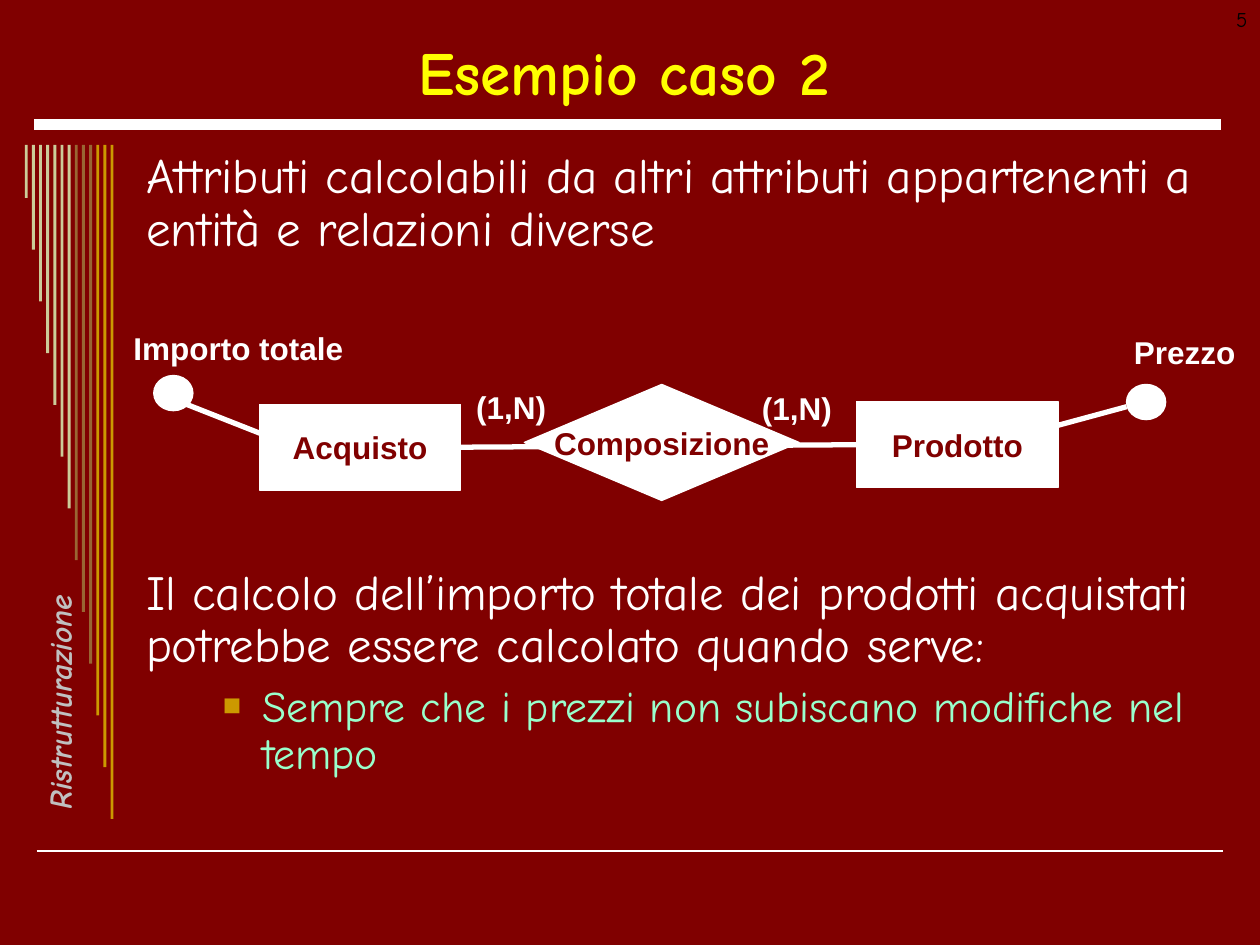
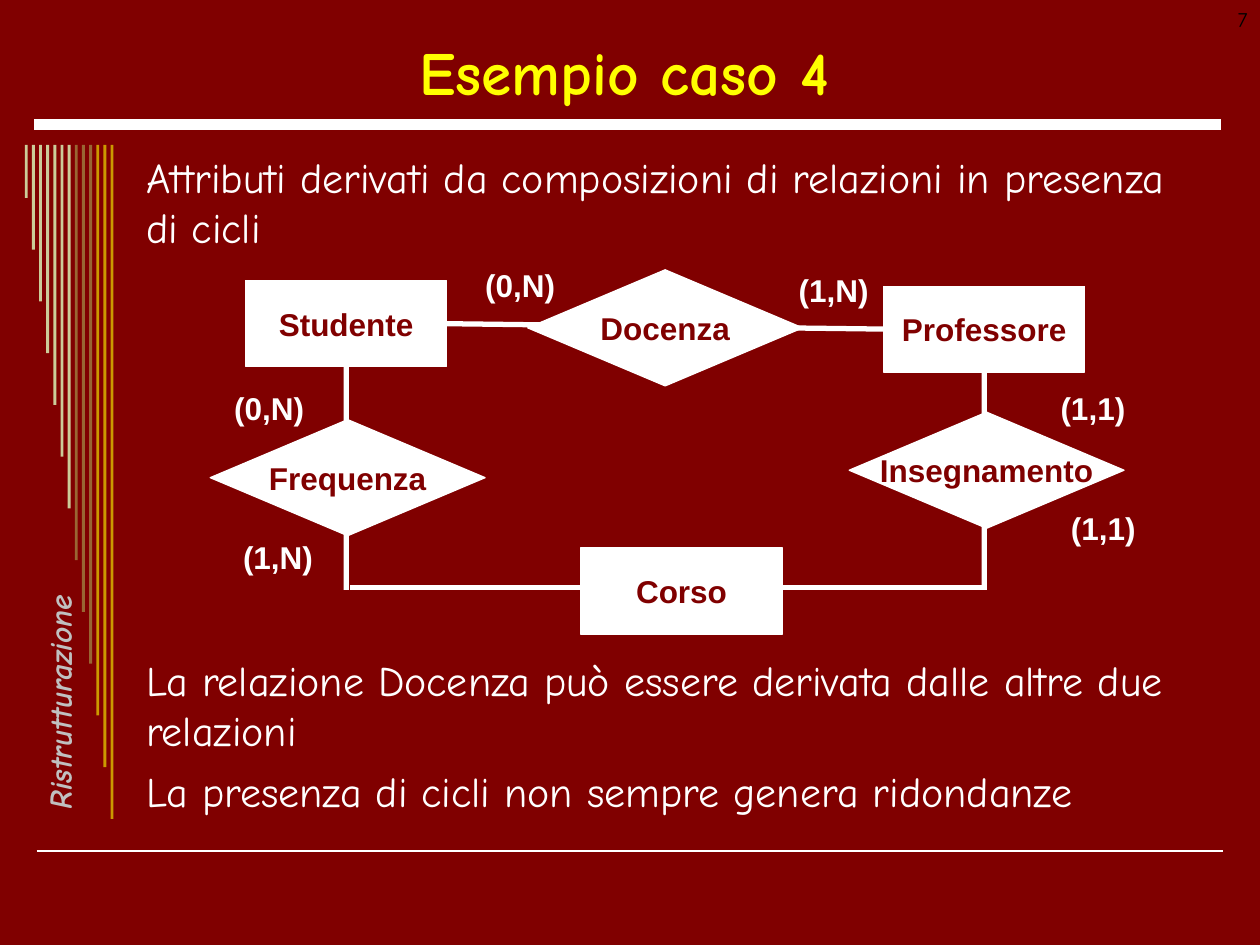
import pptx
import pptx.util
import pptx.dml.color
import pptx.enum.shapes
import pptx.enum.text
import pptx.oxml
import pptx.oxml.ns

Cm = pptx.util.Cm
Pt = pptx.util.Pt
KIND = pptx.enum.shapes.MSO_SHAPE
ALIGN = pptx.enum.text.PP_ALIGN
ANCHOR = pptx.enum.text.MSO_ANCHOR
FIT = pptx.enum.text.MSO_AUTO_SIZE

WINE, WHITE, YELLOW, MINT = "800000", "FFFFFF", "FFFF00", "99FFCC"
GOLD, BROWN, SAND, GREY, BLACK = "CC9900", "996633", "CCCC99", "C0C0C0", "000000"
HAND, SANS = "Comic Neue", "Arial"
STRIPES = [SAND] * 7 + [BROWN] * 3 + [GOLD] * 3


def hue(code):
    return pptx.dml.color.RGBColor.from_string(code)


def node(xml):
    """Parse a piece of DrawingML whose root tag carries no namespace yet."""
    space = " " + pptx.oxml.ns.nsdecls("a")
    cut = min(i for i in (xml.find(" "), xml.find(">"), xml.find("/>")) if i > 0)
    return pptx.oxml.parse_xml(xml[:cut] + space + xml[cut:])


class Deck:
    def __init__(self):
        self.show = pptx.Presentation()
        self.show.slide_width, self.show.slide_height = Cm(25.4), Cm(19.05)
        fill = self.show.slide_master.background.fill
        fill.solid()
        fill.fore_color.rgb = hue(WINE)
        self.slide = None

    def start(self, title, page):
        """Add a slide with its lines, stripes, side label, title and page number."""
        self.slide = self.show.slides.add_slide(self.show.slide_layouts[1])
        self.line((0.74, 17.15), (24.66, 17.15), 1)
        self.line((0.69, 2.51), (24.61, 2.51), 6)
        for i, code in enumerate(STRIPES):
            part = i / (len(STRIPES) - 1)
            self.shape(KIND.RECTANGLE, 0.5 + 1.73 * part, 2.92,
                       0.06, 1.07 + 12.52 * part, code, edge=False)
        self.side("Ristrutturazione")
        head = self.slide.shapes.title
        self.place(head, 0.89, 0.53, 23.39, 1.8)
        frame = head.text_frame
        frame.auto_size = FIT.NONE
        frame.vertical_anchor = ANCHOR.MIDDLE
        para = frame.paragraphs[0]
        para.alignment = ALIGN.CENTER
        self.run(para, title, 35, YELLOW, HAND, True)
        self.text(page, 19.48, 0, 5.92, 1.27, 12, BLACK, HAND, False, ALIGN.RIGHT)

    def place(self, item, x, y, w, h):
        item.left, item.top, item.width, item.height = Cm(x), Cm(y), Cm(w), Cm(h)

    def run(self, para, words, size, code, face, bold=False):
        run = para.add_run()
        run.text = words
        font = run.font
        font.size, font.name, font.bold = Pt(size), face, bold
        font.color.rgb = hue(code)
        return run

    def text(self, words, x, y, w, h, size, code, face, bold, align=ALIGN.LEFT):
        box = self.slide.shapes.add_textbox(Cm(x), Cm(y), Cm(w), Cm(h))
        frame = box.text_frame
        frame.word_wrap = True
        frame.auto_size = FIT.NONE
        para = frame.paragraphs[0]
        para.alignment = align
        return box, self.run(para, words, size, code, face, bold)

    def side(self, words):
        """Write the upright section name beside the stripes."""
        box, run = self.text(words, -1.9, 13.36, 5.79, 0.61, 18, GREY, HAND, True)
        box.rotation = 270
        box.text_frame.word_wrap = False
        run.font.italic = True
        edge = node('<a:ln w="9525"><a:solidFill><a:srgbClr val="333300"/>'
                    '</a:solidFill></a:ln>')
        run.font._element.insert(0, edge)

    def label(self, words, x, y, w=2.01):
        box, _ = self.text(words, x, y, w, 1.02, 18, WHITE, SANS, True)
        box.text_frame.auto_size = FIT.SHAPE_TO_FIT_TEXT

    def shape(self, kind, x, y, w, h, code=WHITE, edge=True):
        item = self.slide.shapes.add_shape(kind, Cm(x), Cm(y), Cm(w), Cm(h))
        item.shadow.inherit = False
        item.fill.solid()
        item.fill.fore_color.rgb = hue(code)
        if edge:
            item.line.color.rgb = hue(code)
            item.line.width = Pt(0.75)
        else:
            item.line.fill.background()
        return item

    def name(self, item, words):
        """Write the name inside an entity or a relation."""
        frame = item.text_frame
        frame.word_wrap = False
        frame.vertical_anchor = ANCHOR.MIDDLE
        para = frame.paragraphs[0]
        para.alignment = ALIGN.CENTER
        self.run(para, words, 18, WINE, SANS, True)
        return item

    def entity(self, words, x, y):
        return self.name(self.shape(KIND.RECTANGLE, x, y, 4.06, 1.73), words)

    def bond(self, words, x, y):
        """Draw a relation as a diamond."""
        return self.name(self.shape(KIND.DIAMOND, x, y, 5.54, 2.34), words)

    def dot(self, x, y):
        self.shape(KIND.OVAL, x, y, 0.79, 0.71)

    def line(self, start, end, width=3):
        """Draw a line; each end is an (x, y) point or a (shape, side) pair."""
        free = [isinstance(spot[0], (int, float)) for spot in (start, end)]
        a, b = [spot if ok else (0, 0) for spot, ok in zip((start, end), free)]
        link = self.slide.shapes.add_connector(
            pptx.enum.shapes.MSO_CONNECTOR.STRAIGHT,
            Cm(a[0]), Cm(a[1]), Cm(b[0]), Cm(b[1]))
        if not free[0]:
            link.begin_connect(*start)
        if not free[1]:
            link.end_connect(*end)
        link.line.color.rgb = hue(WHITE)
        link.line.width = Pt(width)
        link._element.spPr.append(node("<a:effectLst/>"))

    def body(self, size, space, items):
        """Fill the body; each item is (words, space before, is a bullet)."""
        hold = self.slide.placeholders[1]
        self.place(hold, 2.69, 2.92, 21.64, 14)
        frame = hold.text_frame
        frame.auto_size = FIT.NONE
        for i, (words, gap, sub) in enumerate(items):
            para = frame.add_paragraph() if i else frame.paragraphs[0]
            props = para._p.get_or_add_pPr()
            if sub:
                para.level = 1
                props.set("marL", str(Cm(2.34)))
                props.set("indent", str(Cm(-0.79)))
                props.append(node(f'<a:buClr><a:srgbClr val="{GOLD}"/></a:buClr>'))
                props.append(node('<a:buSzPct val="70000"/>'))
                props.append(node('<a:buChar char="■"/>'))
            else:
                props.set("marL", "0")
                props.set("indent", "0")
                props.append(node("<a:buNone/>"))
            para.line_spacing = space
            para.space_before = Pt(gap)
            self.run(para, words, 25 if sub else size, MINT if sub else WHITE, HAND)


def derived(deck):
    deck.start("Esempio caso 2", "5")
    deck.body(28, 0.9, [
        ("Attributi calcolabili da altri attributi appartenenti a "
         "entità e relazioni diverse", 0, False),
        ("Il calcolo dell’importo totale dei prodotti acquistati "
         "potrebbe essere calcolato quando serve:", 177.5, False),
        ("Sempre che i prezzi non subiscano modifiche nel tempo", 6.2, True)])
    buy = deck.entity("Acquisto", 5.23, 8.15)
    good = deck.entity("Prodotto", 17.27, 8.1)
    deck.line((buy, 3), (good, 1))
    deck.bond("Composizione", 10.57, 7.75)
    deck.label("(1,N)", 9.35, 7.7)
    deck.label("(1,N)", 15.11, 7.72)
    deck.line((20.9, 8.69), (22.71, 8.2))
    deck.dot(22.71, 7.75)
    deck.dot(3.1, 7.57)
    deck.line((3.63, 8.1), (5.51, 8.84))
    deck.label("Importo totale", 2.44, 6.5, 5.54)
    deck.label("Prezzo", 22.61, 6.58, 2.79)


def cycle(deck):
    deck.start("Esempio caso 4", "7")
    deck.body(24, 1.0, [
        ("Attributi derivati da composizioni di relazioni in presenza "
         "di cicli", 0, False),
        ("La relazione Docenza può essere derivata dalle altre due "
         "relazioni", 230, False),
        ("La presenza di cicli non sempre genera ridondanze", 6, False)])
    pupil = deck.entity("Studente", 4.95, 5.66)
    tutor = deck.entity("Professore", 17.81, 5.77)
    deck.line((pupil, 3), (tutor, 1))
    deck.line((7.06, 11.84), (19.86, 11.84))
    deck.line((6.98, 11.89), (pupil, 2))
    deck.line((19.84, 11.89), (tutor, 2))
    deck.entity("Corso", 11.71, 11.05)
    for words, x, y in [("Docenza", 10.64, 5.44), ("Frequenza", 4.24, 8.46),
                        ("Insegnamento", 17.12, 8.31)]:
        deck.bond(words, x, y)
    for words, x, y in [("(1,N)", 15.85, 5.33), ("(0,N)", 9.53, 5.23),
                        ("(0,N)", 4.47, 7.72), ("(1,1)", 21.13, 7.72),
                        ("(1,N)", 4.65, 10.72), ("(1,1)", 21.34, 10.13)]:
        deck.label(words, x, y)


def main():
    deck = Deck()
    derived(deck)
    cycle(deck)
    deck.show.save("out.pptx")


if __name__ == "__main__":
    main()
